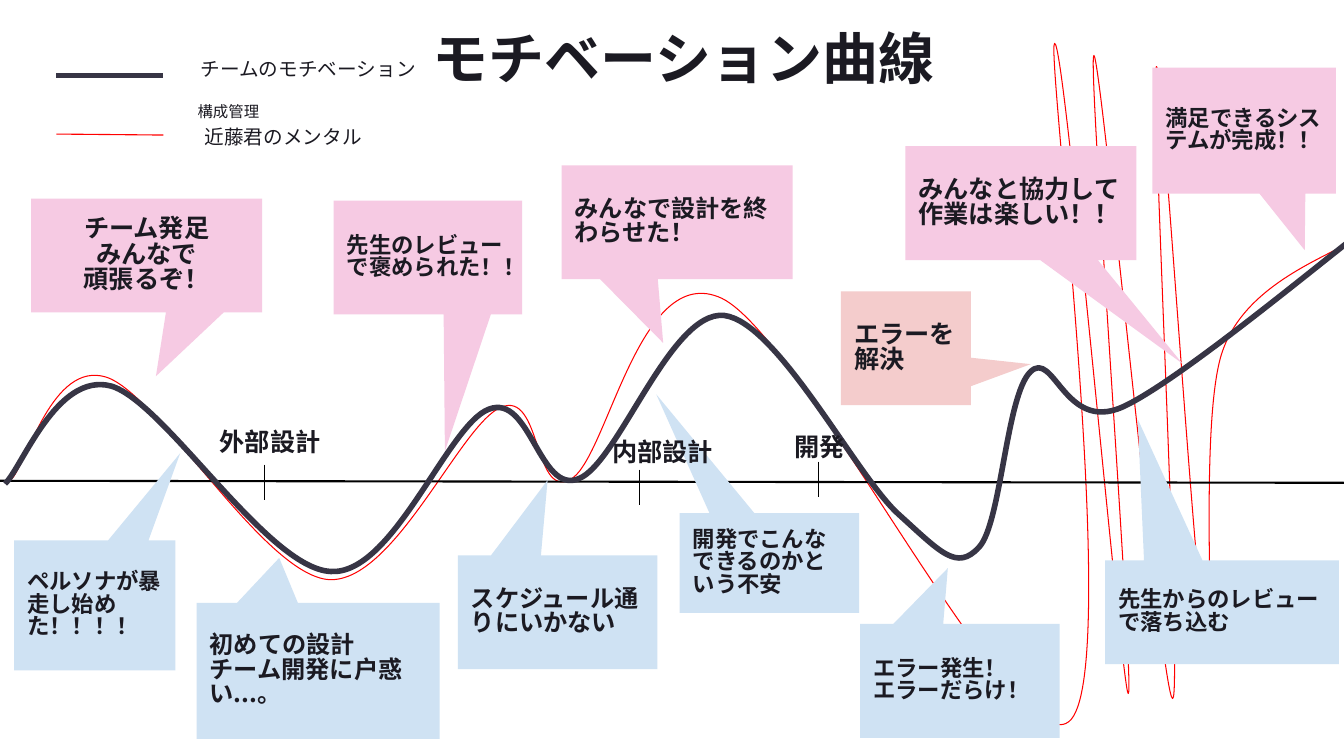
from lxml.etree import SubElement
from pptx import Presentation
from pptx.dml.color import RGBColor
from pptx.enum.shapes import MSO_CONNECTOR, MSO_SHAPE
from pptx.enum.text import MSO_ANCHOR, PP_ALIGN
from pptx.oxml.ns import qn
from pptx.util import Inches, Pt

FONT = "Noto Sans CJK JP"
INK = RGBColor(0x1B, 0x1A, 0x22)
BLACK = RGBColor(0, 0, 0)
WHITE = RGBColor(0xFF, 0xFF, 0xFF)
RED = RGBColor(0xFF, 0, 0)
SLATE = RGBColor(0x37, 0x35, 0x45)
PINK = RGBColor(0xF6, 0xCA, 0xE3)
BLUE = RGBColor(0xCF, 0xE2, 0xF3)
ROSE = RGBColor(0xF4, 0xCC, 0xCC)

MENTAL_CURVE = [
    (0.11, 4.76), (0.27, 4.59), (0.52, 3.58), (1.05, 3.74),
    (1.57, 3.9), (2.61, 5.7), (3.26, 5.75),
    (3.91, 5.79), (4.57, 4.2), (4.97, 4.04),
    (5.37, 3.87), (5.29, 4.94), (5.65, 4.76),
    (6.02, 4.59), (6.33, 2.57), (7.16, 2.96),
    (7.98, 3.36), (10.05, 7.58), (10.6, 7.16),
    (11.15, 6.74), (10.37, 0.48), (10.46, 0.43),
    (10.56, 0.39), (11.13, 6.87), (11.19, 6.88),
    (11.26, 6.9), (10.78, 0.54), (10.85, 0.55),
    (10.92, 0.56), (11.52, 6.91), (11.63, 6.93),
    (11.73, 6.95), (11.41, 0.74), (11.47, 0.66),
    (11.52, 0.59), (11.86, 6.01), (11.97, 6.47),
    (12.08, 6.94), (11.87, 4.16), (12.13, 3.47),
    (12.38, 2.77), (13.27, 2.52), (13.5, 2.33),
]
TEAM_CURVE = [
    (0.05, 4.8), (0.22, 4.64), (0.56, 3.69), (1.1, 3.83),
    (1.63, 3.98), (2.65, 5.64), (3.28, 5.67),
    (3.9, 5.71), (4.44, 4.21), (4.85, 4.06),
    (5.26, 3.9), (5.35, 4.91), (5.74, 4.75),
    (6.13, 4.6), (6.65, 3.08), (7.18, 3.13),
    (7.71, 3.19), (8.49, 4.72), (8.91, 5.1),
    (9.33, 5.48), (9.49, 5.67), (9.71, 5.43),
    (9.93, 5.2), (9.98, 3.92), (10.22, 3.69),
    (10.45, 3.46), (10.56, 4.29), (11.13, 4.04),
    (11.69, 3.79), (13.2, 2.52), (13.62, 2.21),
]
CALLOUTS = [
    ("初めての設計\nチーム開発に戸惑い...。", (1.95, 5.98, 2.41, 1.35), (-0.16, -0.83), BLUE, 17.3),
    ("ペルソナが暴走し始めた！！！！", (0.14, 5.36, 1.6, 1.29), (0.53, -1.17), BLUE, 16),
    ("チーム発足\nみんなで\n頑張るぞ！", (0.31, 1.97, 2.29, 1.13), (0.04, 1.06), PINK, 18),
    ("先生のレビューで褒められた！！", (3.31, 1.99, 1.87, 1.13), (0.09, 1.7), PINK, 16),
    ("みんなで設計を終わらせた！", (5.57, 1.64, 2.29, 1.13), (-0.06, 1.06), PINK, 17.3),
    ("スケジュール通りにいかない", (4.54, 5.51, 1.98, 1.13), (-0.05, -1.16), BLUE, 17.3),
    ("開発でこんなできるのかという不安", (6.74, 5.09, 1.78, 0.99), (-0.63, -1.69), BLUE, 16),
    ("エラーを解決", (8.34, 2.89, 1.29, 1.13), (0.96, 0.14), ROSE, 18),
    ("満足できるシステムが完成！！", (11.43, 0.67, 1.82, 1.25), (0.33, 0.95), PINK, 16),
    ("エラー発生！\nエラーだらけ！", (8.53, 6.19, 1.98, 1.13), (-0.06, -0.99), BLUE, 16),
    ("みんなと協力して\n作業は楽しい！！", (8.98, 1.45, 2.29, 1.13), (0.7, 1.41), PINK, 18),
    ("先生からのレビュー\nで落ち込む", (10.96, 5.56, 2.32, 1.03), (-0.36, -1.86), BLUE, 16),
]
CENTERED_CALLOUT = "チーム発足"


def write_text(frame, text, size=18, bold=True, align=PP_ALIGN.LEFT,
               anchor=MSO_ANCHOR.TOP, spacing=0.83):
    """Fill a text frame with one paragraph for each line of text."""
    frame.word_wrap = True
    frame.vertical_anchor = anchor
    frame.margin_left = frame.margin_right = Inches(0.13)
    frame.margin_top = frame.margin_bottom = Inches(0.13)
    for index, line in enumerate(text.split("\n")):
        para = frame.add_paragraph() if index else frame.paragraphs[0]
        para.alignment = align
        para.line_spacing = spacing
        span = para.add_run()
        span.text = line
        span.font.size = Pt(size)
        span.font.bold = bold
        span.font.color.rgb = INK
        span.font.name = FONT
        SubElement(span.font._element, qn("a:ea"), typeface=FONT)


def add_label(page, text, bounds, **style):
    """Add a text box."""
    box = page.shapes.add_textbox(*map(Inches, bounds))
    write_text(box.text_frame, text, **style)


def add_callout(page, text, bounds, tip, color, size):
    """Add a square-cornered callout whose tail ends at tip."""
    box = page.shapes.add_shape(MSO_SHAPE.ROUNDED_RECTANGULAR_CALLOUT, *map(Inches, bounds))
    for index, value in enumerate((*tip, 0)):
        box.adjustments[index] = value
    box.shadow.inherit = False
    box.fill.solid()
    box.fill.fore_color.rgb = color
    box.line.fill.background()
    align = PP_ALIGN.CENTER if text.startswith(CENTERED_CALLOUT) else PP_ALIGN.LEFT
    write_text(box.text_frame, text, size=size, align=align, anchor=MSO_ANCHOR.MIDDLE)


def add_line(page, start, end, color=BLACK, width=0.75):
    """Add a straight line."""
    line = page.shapes.add_connector(MSO_CONNECTOR.STRAIGHT, *map(Inches, (*start, *end)))
    line.line.color.rgb = color
    line.line.width = Pt(width)
    SubElement(line._element.spPr, qn("a:effectLst"))


def add_curve(page, points, color, width):
    """Add an open curve of cubic segments, three points for each."""
    start, *rest = [(Inches(x), Inches(y)) for x, y in points]
    builder = page.shapes.build_freeform(*start)
    builder.add_line_segments(rest, close=False)
    curve = builder.convert_to_shape()
    steps = list(curve._element.iter(qn("a:lnTo")))
    outline = steps[0].getparent()
    for first in range(0, len(steps), 3):
        cubic = SubElement(outline, qn("a:cubicBezTo"))
        for step in steps[first:first + 3]:
            cubic.append(step[0])
            outline.remove(step)
    curve.shadow.inherit = False
    curve.fill.background()
    curve.line.color.rgb = color
    curve.line.width = Pt(width)


def main():
    """Build the motivation curve slide."""
    deck = Presentation()
    deck.slide_width, deck.slide_height = Inches(13.33), Inches(7.5)
    page = deck.slides.add_slide(deck.slide_layouts[6])
    page.background.fill.solid()
    page.background.fill.fore_color.rgb = WHITE

    add_curve(page, MENTAL_CURVE, RED, 0.75)
    add_line(page, (0, 4.77), (13.37, 4.79), width=1.5)
    for x, top in ((2.62, 4.61), (6.34, 4.66), (8.12, 4.58)):
        add_line(page, (x, top), (x, top + 0.35))
    for callout in CALLOUTS:
        add_callout(page, *callout)
    add_curve(page, TEAM_CURVE, SLATE, 4)

    add_label(page, "モチベーション曲線", (3.15, 0.18, 7.26, 0.85),
              size=40, align=PP_ALIGN.CENTER, spacing=0.9)
    add_label(page, "外部設計", (2.05, 4.13, 1.86, 0.48), spacing=0.9)
    add_label(page, "内部設計", (5.94, 4.23, 1.29, 0.47), spacing=0.9)
    add_label(page, "開発", (7.48, 4.18, 1.29, 0.41), align=PP_ALIGN.CENTER, spacing=0.9)

    add_label(page, "チームのモチベーション", (1.86, 0.51, 2.45, 0.5), size=14, bold=False)
    add_label(page, "構成管理", (1.83, 0.97, 1.74, 0.47), size=11, bold=False)
    add_label(page, "近藤君のメンタル", (1.9, 1.18, 2.64, 0.5), size=14, bold=False)
    add_line(page, (0.56, 0.75), (1.62, 0.75), SLATE, 4)
    add_line(page, (0.56, 1.33), (1.62, 1.34), RED, 0.79)
    deck.save("out.pptx")


if __name__ == "__main__":
    main()
